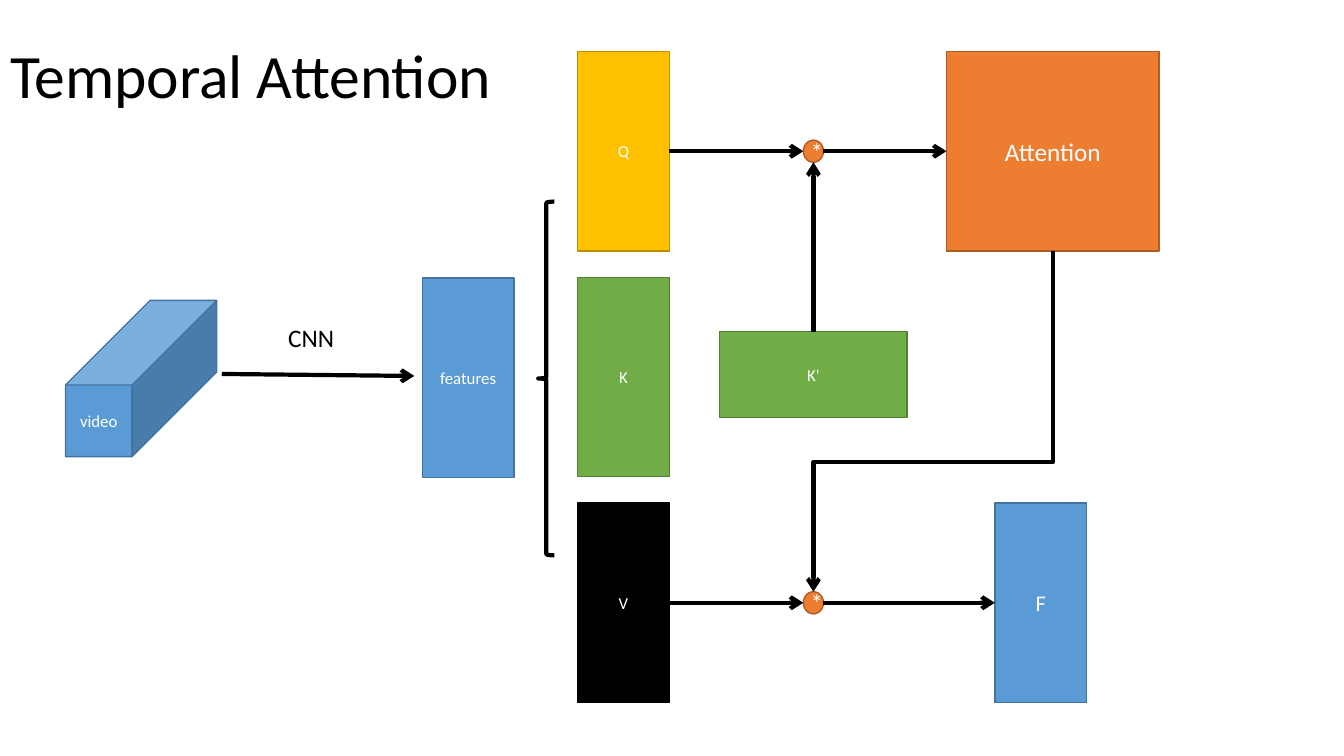
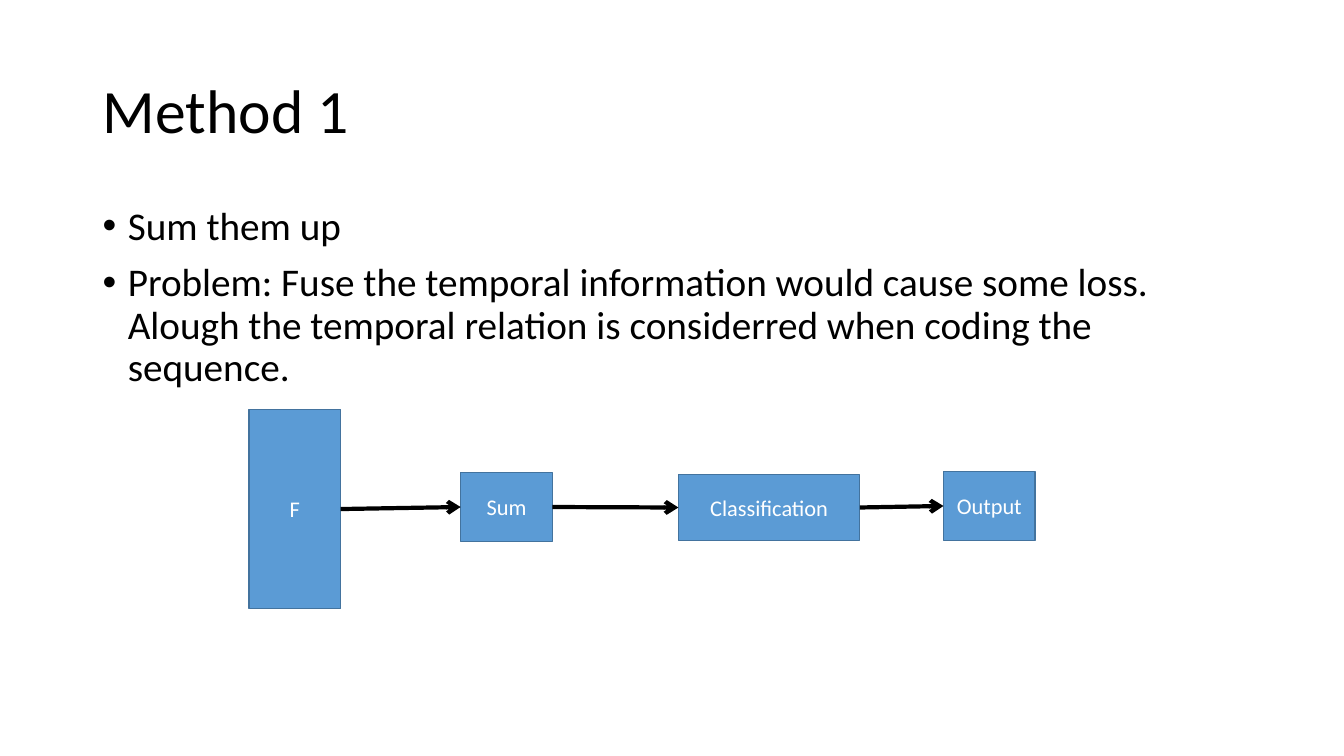
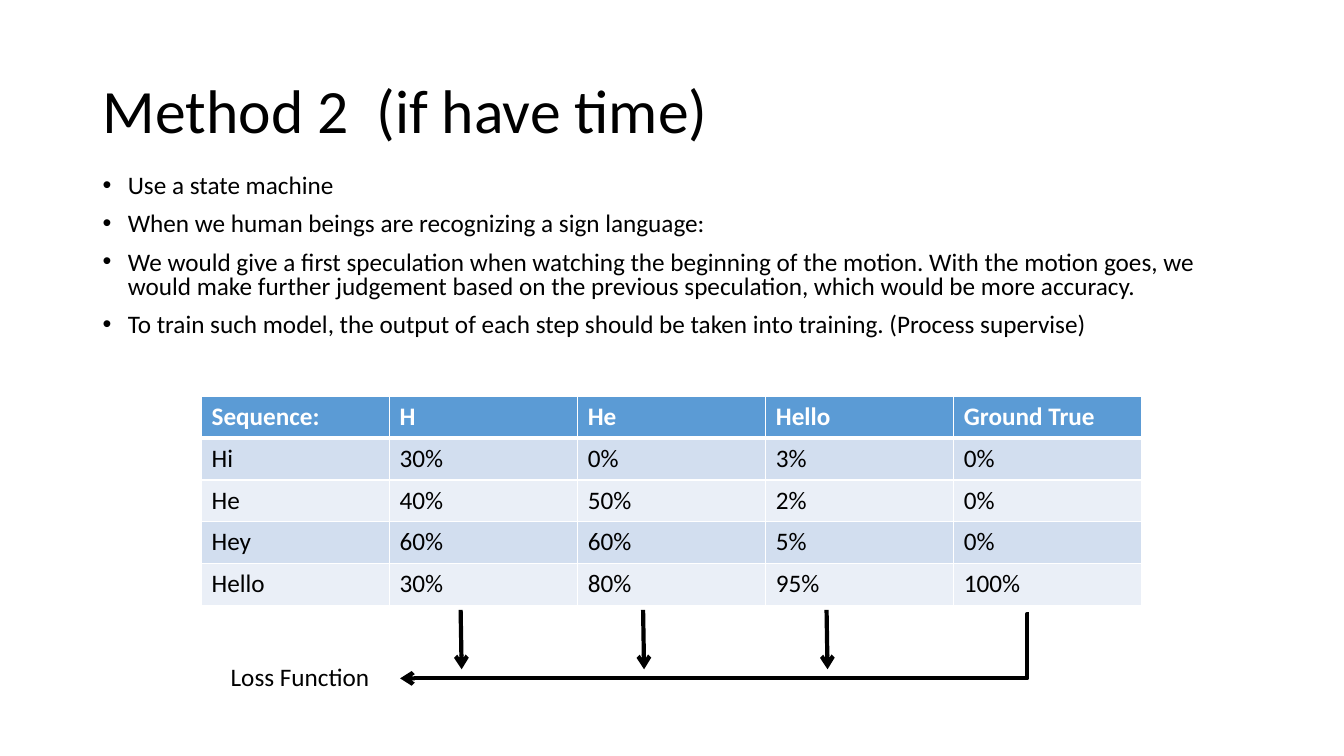
from dataclasses import dataclass
from itertools import pairwise
from typing import NamedTuple

from lxml.etree import SubElement
from pptx import Presentation
from pptx.dml.color import RGBColor
from pptx.enum.shapes import MSO_CONNECTOR as Wire, MSO_SHAPE as Form
from pptx.enum.text import MSO_ANCHOR as Anchor, MSO_AUTO_SIZE as Fit, PP_ALIGN as Align
from pptx.oxml.ns import qn
from pptx.util import Emu, Pt


# Theme and grid: 75 square rows fill the height of a 16:9 slide
@dataclass(frozen=True)
class Theme:
    font: str = "Calibri"
    ink: str = "000000"
    paper: str = "FFFFFF"
    bands: tuple[str, str] = ("D2DEEF", "EAEFF7")
    title: int = 44
    body: int = 28
    text: int = 18
    label: int = 16
    small: int = 12
    thin: int = 1
    thick: int = 3


class Paint(NamedTuple):
    fill: str
    edge: str


THEME = Theme()
BLUE = Paint("5B9BD5", "43739E")
GOLD = Paint("FFC000", "BD8E00")
GREEN = Paint("70AD47", "538035")
BLACK = Paint(THEME.ink, THEME.ink)
RUST = Paint("ED7D31", "AF5C24")

WIDE, HIGH = 12192000, 6858000
CELL = HIGH / 75


class Spot(NamedTuple):
    x: float
    y: float


@dataclass(frozen=True)
class Box:
    x: float
    y: float
    w: float
    h: float

    @property
    def left(self) -> Spot:
        return Spot(self.x, self.y + self.h / 2)

    @property
    def right(self) -> Spot:
        return Spot(self.x + self.w, self.y + self.h / 2)

    @property
    def top(self) -> Spot:
        return Spot(self.x + self.w / 2, self.y)

    @property
    def base(self) -> Spot:
        return Spot(self.x + self.w / 2, self.y + self.h)


@dataclass(frozen=True)
class Node:
    text: str
    box: Box
    paint: Paint = BLUE
    size: int = THEME.label
    form: Form = Form.RECTANGLE


def grid(*cells: float) -> list[Emu]:
    return [Emu(round(cell * CELL)) for cell in cells]


def place(box: Box) -> list[Emu]:
    return grid(box.x, box.y, box.w, box.h)


# Text
def write(para, text: str, size: int, color: str = THEME.ink, bold: bool = False) -> None:
    run = para.add_run()
    run.text = text
    run.font.name = THEME.font
    run.font.size = Pt(size)
    run.font.bold = bold
    run.font.color.rgb = RGBColor.from_string(color)


def start(deck, text: str, box: Box):
    slide = deck.slides.add_slide(deck.slide_layouts[5])
    title = slide.shapes.title
    title.left, title.top, title.width, title.height = place(box)
    frame = title.text_frame
    frame.auto_size = Fit.NONE
    frame.vertical_anchor = Anchor.MIDDLE
    para = frame.paragraphs[0]
    para.alignment = Align.LEFT
    para.line_spacing = 0.9
    write(para, text, THEME.title)
    return slide


def note(slide, text: str, box: Box) -> None:
    frame = slide.shapes.add_textbox(*place(box)).text_frame
    frame.word_wrap = True
    frame.auto_size = Fit.SHAPE_TO_FIT_TEXT
    write(frame.paragraphs[0], text, THEME.text)


def points(slide, lines: list[str], box: Box, size: int, lead: float) -> None:
    frame = slide.shapes.add_textbox(*place(box)).text_frame
    frame.word_wrap = True
    hang = grid(2.5)[0]
    for i, line in enumerate(lines):
        para = frame.add_paragraph() if i else frame.paragraphs[0]
        para.line_spacing = lead
        para.space_before = Pt(10)
        props = para._p.get_or_add_pPr()
        props.set("marL", str(hang))
        props.set("indent", str(-hang))
        SubElement(props, qn("a:buFont"), typeface="Arial")
        SubElement(props, qn("a:buChar"), char="•")
        write(para, line, size)


# Shapes and lines
def draw(slide, node: Node):
    shape = slide.shapes.add_shape(node.form, *place(node.box))
    shape.shadow.inherit = False
    shape.fill.solid()
    shape.fill.fore_color.rgb = RGBColor.from_string(node.paint.fill)
    shape.line.color.rgb = RGBColor.from_string(node.paint.edge)
    shape.line.width = Pt(THEME.thin)
    frame = shape.text_frame
    frame.vertical_anchor = Anchor.MIDDLE
    para = frame.paragraphs[0]
    para.alignment = Align.CENTER
    write(para, node.text, node.size, THEME.paper)
    return shape


def arrow(slide, tail: Spot, head: Spot, kind: Wire = Wire.STRAIGHT):
    wire = slide.shapes.add_connector(kind, *grid(*tail, *head))
    wire.line.color.rgb = RGBColor.from_string(THEME.ink)
    wire.line.width = Pt(THEME.thick)
    SubElement(wire.line._get_or_add_ln(), qn("a:tailEnd"), type="arrow")
    SubElement(wire._element.spPr, qn("a:effectLst"))
    return wire


def bend(slide, tail: Spot, head: Spot, share: float, upright: bool = False) -> None:
    """Bent arrow turning at a share of its way; upright ones leave downwards to the left."""
    if upright:
        mid = Spot((tail.x + head.x) / 2, (tail.y + head.y) / 2)
        half = Spot(abs(head.y - tail.y) / 2, abs(head.x - tail.x) / 2)
        tail = Spot(mid.x - half.x, mid.y - half.y)
        head = Spot(mid.x + half.x, mid.y + half.y)
    wire = arrow(slide, tail, head, Wire.ELBOW)
    props = wire._element.spPr
    if upright:
        props.find(qn("a:xfrm")).set("rot", str(90 * 60000))
    geom = props.find(qn("a:prstGeom"))
    guides = geom.find(qn("a:avLst"))
    if guides is None:
        guides = SubElement(geom, qn("a:avLst"))
    SubElement(guides, qn("a:gd"), name="adj1", fmla=f"val {round(share * 100000)}")


def chain(slide, *nodes: Node) -> None:
    for one, two in pairwise(nodes):
        arrow(slide, one.box.right, two.box.left)


# Table
def edge(cell, side: str, width: int) -> None:
    line = SubElement(cell._tc.get_or_add_tcPr(), qn(f"a:ln{side}"), w=str(Pt(width)))
    SubElement(SubElement(line, qn("a:solidFill")), qn("a:srgbClr"), val=THEME.paper)


def table(slide, rows: list[list[str]], box: Box) -> None:
    chart = slide.shapes.add_table(len(rows), len(rows[0]), *place(box)).table
    for i, row in enumerate(rows):
        head = i == 0
        fill = BLUE.fill if head else THEME.bands[(i - 1) % 2]
        widths = {"L": THEME.thin, "R": THEME.thin,
                  "T": THEME.thick if i == 1 else THEME.thin,
                  "B": THEME.thick if head else THEME.thin}
        for j, text in enumerate(row):
            cell = chart.cell(i, j)
            for side, width in widths.items():
                edge(cell, side, width)
            cell.fill.solid()
            cell.fill.fore_color.rgb = RGBColor.from_string(fill)
            color = THEME.paper if head else THEME.ink
            write(cell.text_frame.paragraphs[0], text, THEME.text, color, head)


# Slide 1: attention flow
def flow(deck) -> None:
    slide = start(deck, "Temporal Attention", Box(0, 0.5, 115, 14.5))
    slab = (9.1, 19.8)
    dot = (2, 2.2)
    video = Node("video", Box(6.5, 29.8, 15, 15.5), size=THEME.small, form=Form.CUBE)
    traits = Node("features", Box(41.9, 27.6, *slab), size=THEME.small)
    query, key, value = (
        Node(name, Box(57.3, 5.1 + 22.4 * i, *slab), paint, THEME.small)
        for i, (name, paint) in enumerate([("Q", GOLD), ("K", GREEN), ("V", BLACK)]))
    turned = Node("K'", Box(71.4, 32.9, 18.6, 8.5), GREEN, THEME.small)
    upper, lower = (
        Node("*", Box(79.7, node.box.left.y - 1.1, *dot), RUST, THEME.text, Form.OVAL)
        for node in (query, value))
    focus = Node("Attention", Box(93.9, 5.1, 21.1, 19.8), RUST, THEME.text)
    final = Node("F", Box(98.7, value.box.y, *slab))

    draw(slide, video).adjustments[0] = 0.56
    for node in (traits, query, key, value, turned, upper, lower, focus, final):
        draw(slide, node)

    brace = slide.shapes.add_shape(Form.LEFT_BRACE, *place(Box(53.4, 20, 1.6, 35.1)))
    brace.shadow.inherit = False
    brace.fill.background()
    brace.line.color.rgb = RGBColor.from_string(THEME.ink)
    brace.line.width = Pt(THEME.thick)

    note(slide, "CNN", Box(27.6, 31.5, 7.9, 4))
    arrow(slide, Spot(22, 37.1), Spot(41.1, 37.3))
    chain(slide, query, upper, focus)
    chain(slide, value, lower, final)
    arrow(slide, turned.box.top, upper.box.base)
    bend(slide, focus.box.base, lower.box.top, 0.62, upright=True)


# Slide 2: summing up
HEAD = Box(9.2, 4, 115, 14.5)


def total(deck) -> None:
    slide = start(deck, "Method 1", HEAD)
    points(slide, [
        "Sum them up",
        "Problem: Fuse the temporal information would cause some loss. "
        "Alough the temporal relation is considerred when coding the sequence.",
    ], Box(9.2, 20, 115, 47.6), THEME.body, 0.9)
    nodes = [
        Node("F", Box(24.7, 40.6, 9.1, 19.8)),
        Node("Sum", Box(45.7, 46.9, 9.1, 6.8)),
        Node("Classification", Box(67.3, 47.1, 18, 6.5)),
        Node("Output", Box(93.6, 46.8, 9.1, 6.8)),
    ]
    for node in nodes:
        draw(slide, node)
    chain(slide, *nodes)


# Slide 3: state machine
def states(deck) -> None:
    slide = start(deck, "Method 2  (if have time)", HEAD)
    points(slide, [
        "Use a state machine",
        "When we human beings are recognizing a sign language:",
        "We would give a first speculation when watching the beginning of the motion. "
        "With the motion goes, we would make further judgement based on the previous "
        "speculation, which would be more accuracy.",
        "To train such model, the output of each step should be taken into training. "
        "(Process supervise)",
    ], Box(9.2, 16.9, 115, 20.8), THEME.text, 0.8)
    table(slide, [
        ["Sequence:", "H", "He", "Hello", "Ground True"],
        ["Hi", "30%", "0%", "3%", "0%"],
        ["He", "40%", "50%", "2%", "0%"],
        ["Hey", "60%", "60%", "5%", "0%"],
        ["Hello", "30%", "80%", "95%", "100%"],
    ], Box(20, 39.3, 93.3, 20.8))
    for x in (45.7, 63.8, 82):
        arrow(slide, Spot(x, 60.5), Spot(x + 0.1, 66.4))
    bend(slide, Spot(102.1, 60.9), Spot(39.7, 67.3), 0.003)
    note(slide, "Loss Function", Box(21.9, 65.1, 17.8, 4))


deck = Presentation()
deck.slide_width, deck.slide_height = Emu(WIDE), Emu(HIGH)
for build in (flow, total, states):
    build(deck)
deck.save("out.pptx")
